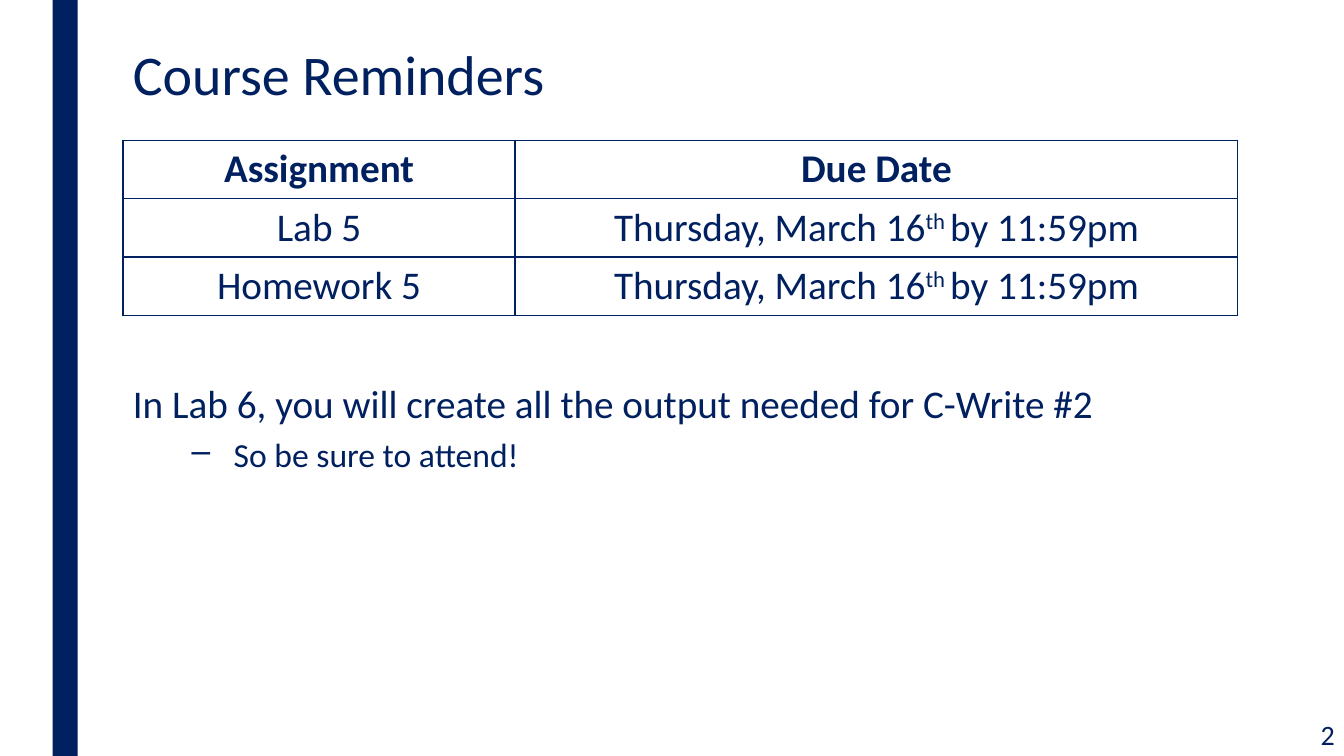
import pptx
import pptx.dml.color
import pptx.enum.text
import pptx.oxml.ns
import pptx.util
import lxml.etree

Pt = pptx.util.Pt
Align = pptx.enum.text.PP_ALIGN
Anchor = pptx.enum.text.MSO_ANCHOR

theme = {
    "font": "Calibri",
    "navy": pptx.dml.color.RGBColor.from_string("002060"),
    "title": 40, "body": 28, "detail": 24, "number": 20,
}
left = 87.84
content_width = 796.32


def style(paragraph, size, bold=False):
    for run in paragraph.runs:
        run.font.name = theme["font"]
        run.font.size = Pt(theme[size])
        run.font.bold = bold
        run.font.color.rgb = theme["navy"]


def add_text(x, y, width, height, lines):
    frame = slide.shapes.add_textbox(Pt(x), Pt(y), Pt(width), Pt(height)).text_frame
    frame.word_wrap = True
    frame.text = "\n".join(text for text, size in lines)
    for paragraph, (text, size) in zip(frame.paragraphs, lines):
        style(paragraph, size)
    return frame


deck = pptx.Presentation()
deck.slide_width, deck.slide_height = Pt(960), Pt(540)
slide = deck.slides.add_slide(deck.slide_layouts[6])

# Side stripe
stripe = slide.shapes.add_shape(
    pptx.enum.shapes.MSO_SHAPE.RECTANGLE, Pt(37.5), Pt(0), Pt(18), Pt(540))
stripe.shadow.inherit = False
stripe.fill.solid()
stripe.fill.fore_color.rgb = theme["navy"]
stripe.line.fill.background()

# Title
title = add_text(left, 30.24, content_width, 58.32, [("Course Reminders", "title")])
title.paragraphs[0].line_spacing = 0.89

# Due dates; each cell is a list of runs, with "th" raised
due = ["Thursday, March 16", "th ", "by 11:59pm"]
rows = [
    [["Assignment"], ["Due Date"]],
    [["Lab 5"], due],
    [["Homework 5"], due],
]
row_height = 41.76
due_dates = slide.shapes.add_table(
    len(rows), 2, Pt(left), Pt(100.08), Pt(content_width), Pt(row_height * len(rows))).table
for column, width in zip(due_dates.columns, (280.08, 516.24)):
    column.width = Pt(width)

for r, row in enumerate(rows):
    due_dates.rows[r].height = Pt(row_height)
    for c, parts in enumerate(row):
        cell = due_dates.cell(r, c)
        cell.vertical_anchor = Anchor.MIDDLE
        paragraph = cell.text_frame.paragraphs[0]
        paragraph.alignment = Align.CENTER
        for part in parts:
            run = paragraph.add_run()
            run.text = part
            if part == "th ":
                run.font._element.set("baseline", "30000")
        style(paragraph, "body", bold=r == 0)

        # Borders come before the fill in the cell properties
        properties = cell._tc.get_or_add_tcPr()
        for side in ("lnL", "lnR", "lnT", "lnB"):
            border = lxml.etree.SubElement(
                properties, pptx.oxml.ns.qn("a:" + side), w=str(Pt(1)))
            fill = lxml.etree.SubElement(border, pptx.oxml.ns.qn("a:solidFill"))
            lxml.etree.SubElement(
                fill, pptx.oxml.ns.qn("a:srgbClr"), val=str(theme["navy"]))
        cell.fill.background()

# Lab note
note = add_text(left, 270, 819.36, 231.12, [
    ("In Lab 6, you will create all the output needed for C-Write #2", "body"),
    ("So be sure to attend!", "detail"),
])
for paragraph, before in zip(note.paragraphs, (10, 5)):
    paragraph.line_spacing = 0.94
    paragraph.space_before = Pt(before)
    paragraph.space_after = Pt(2)

detail = note.paragraphs[1]
detail.level = 1
indent = detail._p.get_or_add_pPr()
indent.set("marL", str(Pt(72)))
indent.set("indent", str(Pt(-30)))
lxml.etree.SubElement(indent, pptx.oxml.ns.qn("a:buChar"), char="–")

# Slide number
number = add_text(834.48, 508.32, 126, 31.68, [("2", "number")])
number.vertical_anchor = Anchor.MIDDLE
number.paragraphs[0].alignment = Align.RIGHT

deck.save("out.pptx")
